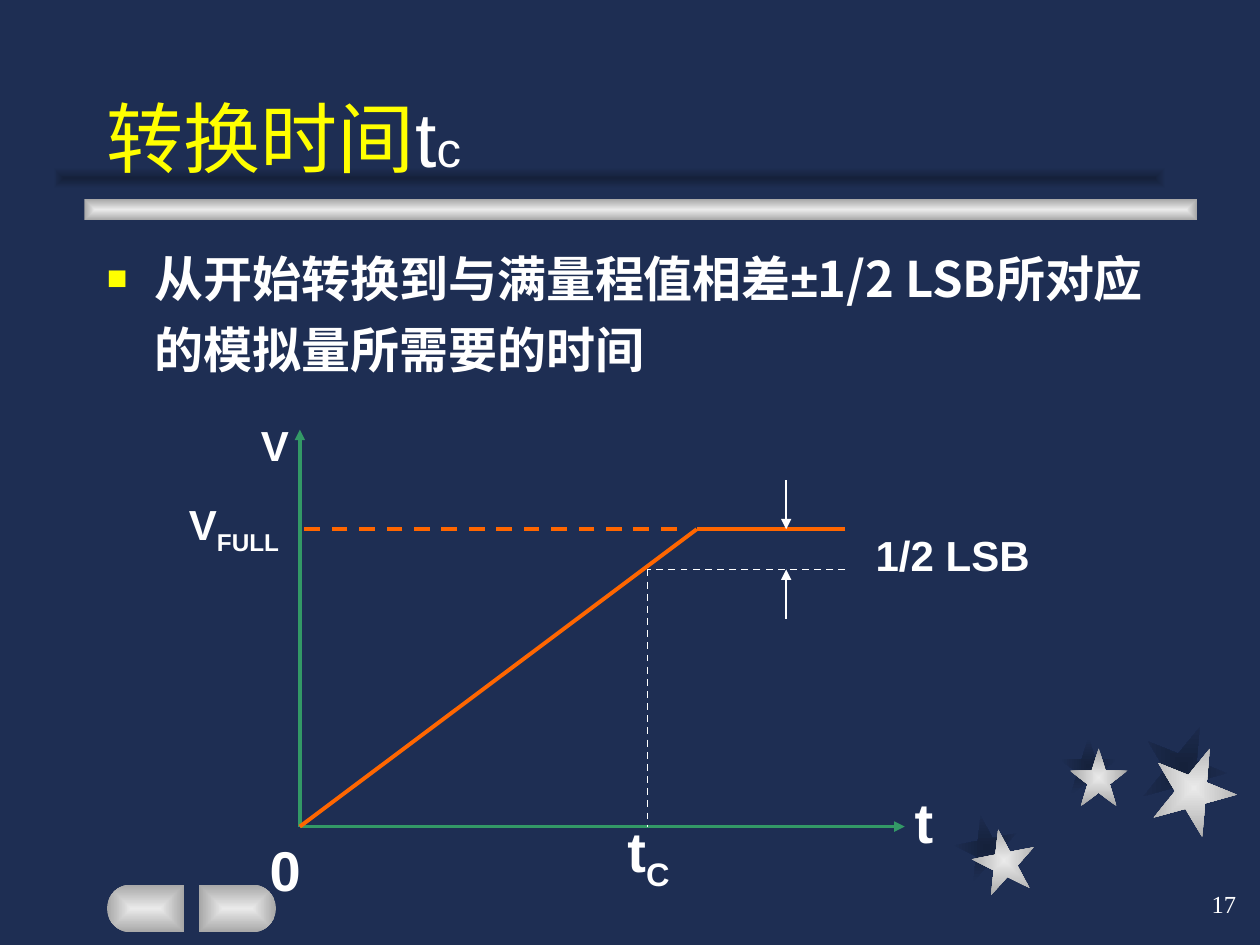
from math import cos, pi, sin

from lxml.etree import SubElement
from pptx import Presentation
from pptx.dml.color import RGBColor
from pptx.enum.dml import MSO_LINE
from pptx.enum.shapes import MSO_CONNECTOR, MSO_SHAPE
from pptx.enum.text import MSO_ANCHOR, PP_ALIGN
from pptx.oxml import parse_xml
from pptx.oxml.ns import nsdecls, qn
from pptx.util import Inches, Pt

NAVY = RGBColor(0x1E, 0x2E, 0x53)
DARK = RGBColor(0x15, 0x21, 0x3B)
SILVER = RGBColor(0xEA, 0xEA, 0xEA)
GREY = RGBColor(0xA7, 0xA7, 0xA7)
WHITE = RGBColor(0xFF, 0xFF, 0xFF)
YELLOW = RGBColor(0xFF, 0xFF, 0x00)
GREEN = RGBColor(0x33, 0x99, 0x66)
ORANGE = RGBColor(0xFF, 0x66, 0x00)
CJK = "Noto Sans CJK SC"


def style_ornament(sp, inner, outer, path="shape"):
    """Fill with a gradient running from the centre to the edges, without a line."""
    sp.shadow.inherit = False
    sp.line.fill.background()
    sp.fill.gradient()
    for stop, color, position in zip(sp.fill.gradient_stops, (inner, outer), (0, 1)):
        stop.color.rgb = color
        stop.position = position
    grad = sp._element.spPr.find(qn("a:gradFill"))
    grad.replace(grad.find(qn("a:lin")), parse_xml(
        f'<a:path {nsdecls("a")} path="{path}">'
        '<a:fillToRect l="50000" t="50000" r="50000" b="50000"/></a:path>'))


def add_text(box, runs, inset=True, anchor=MSO_ANCHOR.TOP):
    """Add a text box; each run is (text, size, colour, bold, font, subscript)."""
    tf = s.shapes.add_textbox(*(Inches(v) for v in box)).text_frame
    tf.word_wrap = True
    tf.vertical_anchor = anchor
    if not inset:
        tf.margin_left = tf.margin_right = tf.margin_top = tf.margin_bottom = 0
    p = tf.paragraphs[0]
    for text, size, color, bold, font, subscript in runs:
        r = p.add_run()
        r.text = text
        r.font.size = Pt(size)
        r.font.bold = bold
        r.font.color.rgb = color
        r.font.name = font
        SubElement(r.font._element, qn("a:ea")).set("typeface", CJK)
        if subscript:
            r.font._element.set("baseline", "-25000")
    return p


prs = Presentation()
prs.slide_width, prs.slide_height = Inches(10), Inches(7.5)
s = prs.slides.add_slide(prs.slide_layouts[6])
s.background.fill.solid()
s.background.fill.fore_color.rgb = NAVY

# Stars and title bars, each with a dark shadow
STAR, BAR = MSO_SHAPE.STAR_5_POINT, MSO_SHAPE.RECTANGLE
ornaments = [
    (STAR, 7.58, 6.47, 0.5, 0.5, -11, DARK, NAVY),
    (STAR, 8.41, 5.85, 0.46, 0.46, 0, DARK, NAVY),
    (STAR, 9.06, 5.75, 0.67, 0.67, 22, DARK, NAVY),
    (STAR, 7.72, 6.58, 0.5, 0.5, -11, SILVER, GREY),
    (STAR, 8.49, 5.94, 0.46, 0.46, 0, SILVER, GREY),
    (STAR, 9.14, 5.92, 0.67, 0.67, 22, SILVER, GREY),
    (BAR, 0.67, 1.58, 8.83, 0.17, 0, SILVER, GREY),
    (BAR, 0.42, 1.33, 8.83, 0.17, 0, DARK, NAVY),
]
for kind, x, y, w, h, rotation, inner, outer in ornaments:
    sp = s.shapes.add_shape(kind, Inches(x), Inches(y), Inches(w), Inches(h))
    sp.rotation = rotation
    style_ornament(sp, inner, outer)

# Navigation buttons: straight inner edge, half-round outer edge
RADIUS, MIDDLE, STEPS = 0.19, 7.21, 20
for flat_x, direction in ((1.46, -1), (1.58, 1)):
    center_x = flat_x + direction * 0.42
    arc = [(Inches(center_x + direction * RADIUS * sin(pi * i / STEPS)),
            Inches(MIDDLE - RADIUS * cos(pi * i / STEPS))) for i in range(STEPS + 1)]
    builder = s.shapes.build_freeform(Inches(flat_x), Inches(MIDDLE - RADIUS))
    builder.add_line_segments(arc + [(Inches(flat_x), Inches(MIDDLE + RADIUS))])
    style_ornament(builder.convert_to_shape(), SILVER, GREY, "rect")

# Slide number, title and body
p = add_text((7.83, 6.92, 2.08, 0.5),
             [("17", 14, WHITE, False, "Times New Roman", False)], anchor=MSO_ANCHOR.MIDDLE)
p.alignment = PP_ALIGN.RIGHT
add_text((0.75, 0.25, 8.5, 1.25),
         [("转换时间", 44, YELLOW, False, "Arial", False),
          ("t", 44, WHITE, False, "Arial", False),
          ("c", 28, WHITE, False, "Arial", False)], anchor=MSO_ANCHOR.BOTTOM)
p = add_text((0.75, 1.83, 8.5, 1.5),
             [("从开始转换到与满量程值相差±", 28, WHITE, True, "Arial", False),
              ("1/2 LSB所对应的模拟量所需要的时间", 28, WHITE, True, CJK, False)])
p.line_spacing = 1.2
pPr = p._p.get_or_add_pPr()
pPr.set("marL", str(Inches(0.38)))
pPr.set("indent", str(-Inches(0.38)))
SubElement(SubElement(pPr, qn("a:buClr")), qn("a:srgbClr")).set("val", str(YELLOW))
SubElement(pPr, qn("a:buSzPct")).set("val", "70000")
SubElement(pPr, qn("a:buFont")).set("typeface", "Arial")
SubElement(pPr, qn("a:buChar")).set("char", "■")

# Conversion diagram
ORIGIN_X, ORIGIN_Y = 2.38, 6.56
FULL_Y, HALF_LSB_Y = 4.2, 4.52
TC_X, FULL_X, END_X, GAP_X = 5.14, 5.53, 6.71, 6.24
diagram_lines = [  # x1, y1, x2, y2, colour, width, dashed, arrow at the end
    (ORIGIN_X, ORIGIN_Y, ORIGIN_X, 3.41, GREEN, 2, False, True),
    (ORIGIN_X, ORIGIN_Y, 7.18, ORIGIN_Y, GREEN, 2, False, True),
    (5.37, FULL_Y, ORIGIN_X, FULL_Y, ORANGE, 2.25, True, False),
    (FULL_X, FULL_Y, ORIGIN_X, ORIGIN_Y, ORANGE, 2.25, False, False),
    (TC_X, HALF_LSB_Y, TC_X, ORIGIN_Y, WHITE, 1, True, False),
    (END_X, FULL_Y, FULL_X, FULL_Y, ORANGE, 2.25, False, False),
    (END_X, HALF_LSB_Y, TC_X, HALF_LSB_Y, WHITE, 1, True, False),
    (GAP_X, 3.81, GAP_X, FULL_Y, WHITE, 1, False, True),
    (GAP_X, 4.91, GAP_X, HALF_LSB_Y, WHITE, 1, False, True),
]
for x1, y1, x2, y2, color, width, dashed, arrow in diagram_lines:
    line = s.shapes.add_connector(MSO_CONNECTOR.STRAIGHT,
                                  Inches(x1), Inches(y1), Inches(x2), Inches(y2))
    line.line.color.rgb = color
    line.line.width = Pt(width)
    if dashed:
        line.line.dash_style = MSO_LINE.DASH
    if arrow:
        SubElement(line.line._get_or_add_ln(), qn("a:tailEnd")).set("type", "triangle")
    SubElement(line._element.spPr, qn("a:effectLst"))

diagram_labels = [  # left, top, width, height, size, text, subscript
    (7.26, 6.25, 0.24, 0.53, 32, "t", ""),
    (2.07, 3.33, 0.31, 0.4, 24, "V", ""),
    (6.95, 4.2, 1.34, 0.4, 24, "1/2 LSB", ""),
    (4.98, 6.48, 0.47, 0.53, 32, "t", "C"),
    (1.5, 3.96, 0.87, 0.4, 24, "V", "FULL"),
    (2.14, 6.63, 0.47, 0.54, 32, "0", ""),
]
for x, y, w, h, size, text, subscript in diagram_labels:
    runs = [(text, size, WHITE, True, "Arial", False)]
    if subscript:
        runs.append((subscript, size, WHITE, True, "Arial", True))
    add_text((x, y, w, h), runs, inset=False)

prs.save("out.pptx")
